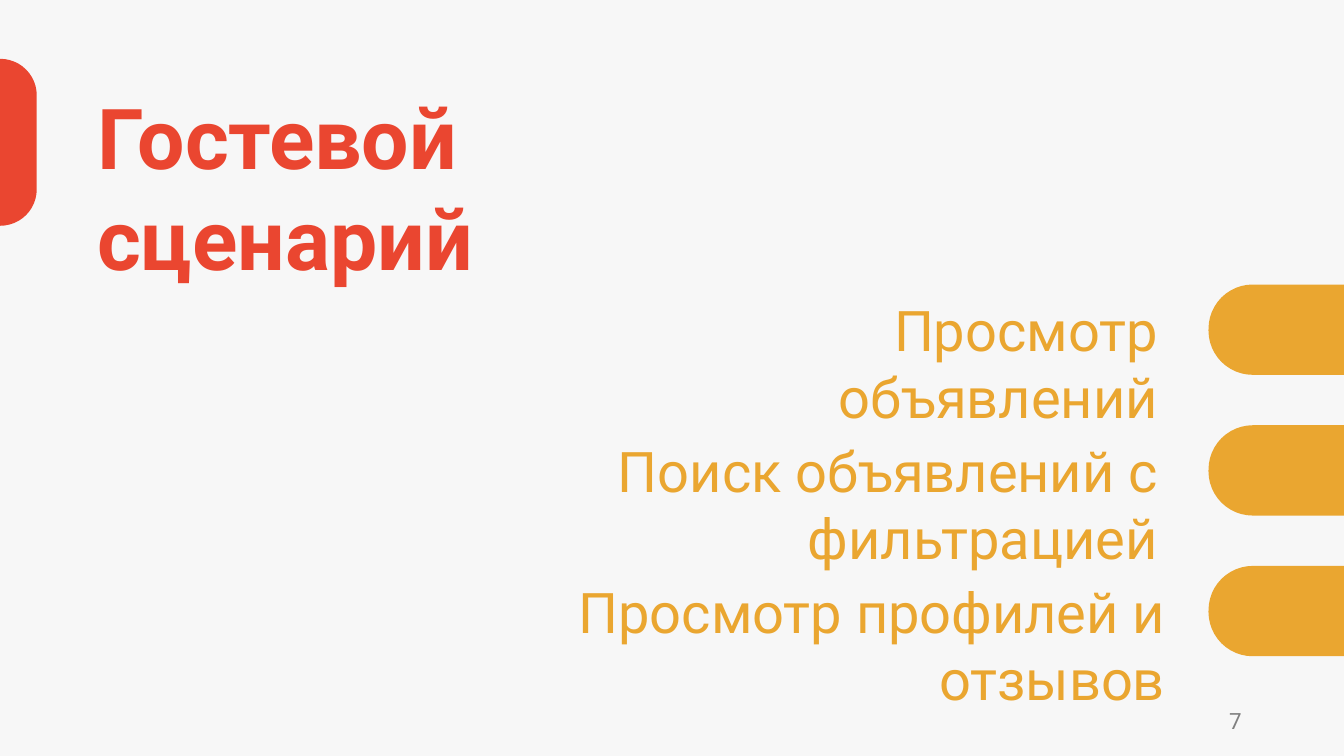
"""Build the guest scenario slide."""
from dataclasses import dataclass

from pptx import Presentation
from pptx.dml.color import RGBColor
from pptx.enum.shapes import MSO_SHAPE
from pptx.enum.text import MSO_ANCHOR, PP_ALIGN
from pptx.shapes.autoshape import Shape
from pptx.slide import Slide
from pptx.util import Emu, Pt

PX = 9525
FONT = "Roboto"
RED = RGBColor(0xEA, 0x46, 0x30)
AMBER = RGBColor(0xEA, 0xA6, 0x30)
GREY = RGBColor(0x80, 0x80, 0x80)
BACKGROUND = RGBColor(0xF7, 0xF7, 0xF7)

FIRST_TAB_TOP = 271
TAB_PITCH = 134
LABEL_OFFSET = 6


@dataclass(frozen=True)
class Box:
    left: int
    top: int
    width: int
    height: int

    def emu(self) -> tuple[Emu, Emu, Emu, Emu]:
        return (Emu(self.left * PX), Emu(self.top * PX),
                Emu(self.width * PX), Emu(self.height * PX))


@dataclass(frozen=True)
class Style:
    size: int
    color: RGBColor
    bold: bool = False
    align: PP_ALIGN = PP_ALIGN.RIGHT
    anchor: MSO_ANCHOR = MSO_ANCHOR.TOP


@dataclass(frozen=True)
class Feature:
    text: str
    left: int
    width: int


HEADING = Style(60, RED, bold=True, align=PP_ALIGN.LEFT)
FEATURE = Style(40, AMBER)
PAGE_NUMBER = Style(16, GREY, anchor=MSO_ANCHOR.MIDDLE)

FEATURES = (
    Feature("Просмотр объявлений", 577, 535),
    Feature("Поиск объявлений с фильтрацией", 298, 814),
    Feature("Просмотр профилей и отзывов", 383, 736),
)


def write(holder: Shape, text: str, style: Style) -> None:
    frame = holder.text_frame
    frame.word_wrap = True
    frame.vertical_anchor = style.anchor
    paragraph = frame.paragraphs[0]
    paragraph.alignment = style.align
    run = paragraph.add_run()
    run.text = text
    run.font.name = FONT
    run.font.size = Pt(style.size)
    run.font.bold = style.bold
    run.font.color.rgb = style.color


def add_text(slide: Slide, box: Box, text: str, style: Style) -> None:
    write(slide.shapes.add_textbox(*box.emu()), text, style)


def add_tab(slide: Slide, box: Box, color: RGBColor) -> None:
    tab = slide.shapes.add_shape(MSO_SHAPE.ROUNDED_RECTANGLE, *box.emu())
    tab.adjustments[0] = 0.49
    tab.shadow.inherit = False
    tab.fill.solid()
    tab.fill.fore_color.rgb = color
    tab.line.fill.background()


def main() -> None:
    deck = Presentation()
    deck.slide_width, deck.slide_height = Emu(1280 * PX), Emu(720 * PX)
    slide = deck.slides.add_slide(deck.slide_layouts.get_by_name("Title Only"))
    slide.background.fill.solid()
    slide.background.fill.fore_color.rgb = BACKGROUND

    heading = slide.shapes.title
    heading.left, heading.top, heading.width, heading.height = Box(83, 77, 715, 107).emu()
    write(heading, "Гостевой сценарий", HEADING)
    add_tab(slide, Box(-36, 56, 71, 159), RED)

    for index, feature in enumerate(FEATURES):
        top = FIRST_TAB_TOP + index * TAB_PITCH
        add_text(slide, Box(feature.left, top + LABEL_OFFSET, feature.width, 74),
                 feature.text, FEATURE)
        add_tab(slide, Box(1151, top, 231, 86), AMBER)

    add_text(slide, Box(904, 667, 288, 38), "7", PAGE_NUMBER)
    deck.save("out.pptx")


if __name__ == "__main__":
    main()
